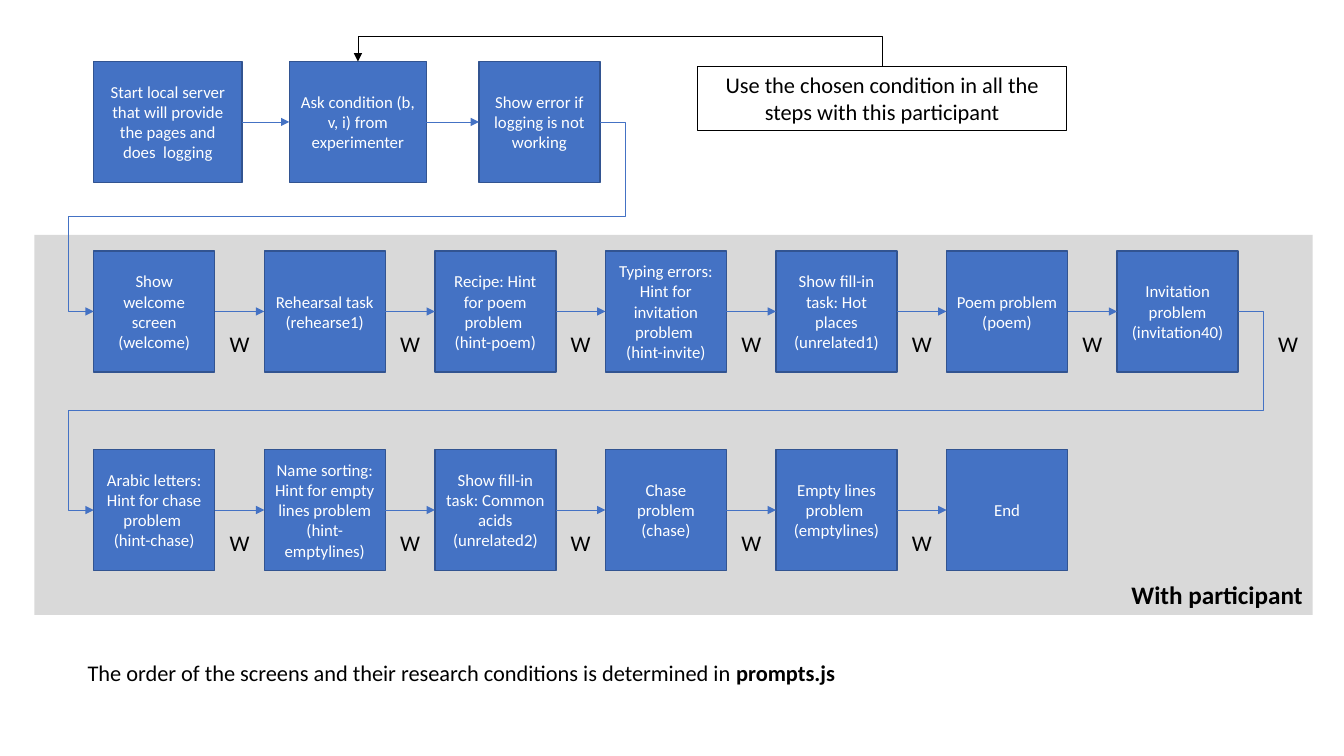
from lxml import etree
from pptx import Presentation
from pptx.dml.color import RGBColor
from pptx.enum.shapes import MSO_CONNECTOR as Link, MSO_SHAPE as Preset
from pptx.enum.text import MSO_ANCHOR as Anchor, MSO_AUTO_SIZE as AutoSize, PP_ALIGN as Align
from pptx.oxml.ns import qn
from pptx.util import Inches, Pt

# Content: "\n" starts a paragraph, "\v" breaks a line
SETUP = [  # text, left, width
    ("Start local server that will provide the pages and does  logging", 0.93, 1.47),
    ("Ask condition (b, v, i) from experimenter", 2.87, 1.36),
    ("Show error if logging is not working", 4.75, 1.2),
]
FIRST_TASKS = [
    "Show welcome screen\n(welcome)",
    "Rehearsal task (rehearse1)",
    "Recipe: Hint for poem problem \v(hint-poem)",
    "Typing errors: Hint for invitation problem \v(hint-invite)",
    "Show fill-in task: Hot places\n(unrelated1)",
    "Poem problem (poem)",
    "Invitation problem\v(invitation40)",
]
LATER_TASKS = [
    "Arabic letters: Hint for chase problem \v(hint-chase)",
    "Name sorting: Hint for empty lines problem\v(hint-emptylines)",
    "Show fill-in task: Common acids\v(unrelated2)",
    "Chase problem\v(chase)",
    "Empty lines problem \v(emptylines)",
    "End",
]
WAIT = "W"
PHASE = "With participant"
CONDITION = "Use the chosen condition in all the steps with this participant"
FOOTNOTE = ("The order of the screens and their research conditions is determined in ",
            "prompts.js")

# Grid, in inches
SETUP_TOP, FIRST_TOP, LATER_TOP = 0.61, 2.49, 4.46
LEFT, LAST_LEFT, BOX = 0.93, 11.08, 1.2
PITCH = (LAST_LEFT - LEFT) / (len(FIRST_TASKS) - 1)
GAP = PITCH - BOX
TURN = 0.25  # how far a row-to-row arrow runs past the boxes
WAIT_DROP = 0.74
RIGHT_SITE, LEFT_SITE = 3, 1

BLUE = RGBColor(0x44, 0x72, 0xC4)
EDGE = RGBColor(0x32, 0x54, 0x91)
GREY = RGBColor(0xD9, 0xD9, 0xD9)
WHITE = RGBColor(0xFF, 0xFF, 0xFF)
BLACK = RGBColor(0, 0, 0)

deck = Presentation()
deck.slide_width, deck.slide_height = Inches(13.33), Inches(7.5)
slide = deck.slides.add_slide(deck.slide_layouts[6])


def style_text(frame, size, color, align, bold=None):
    for paragraph in frame.paragraphs:
        paragraph.alignment = align
        font = paragraph.font
        font.name, font.size, font.bold = "Calibri", Pt(size), bold
        font.color.rgb = color


def add_box(text, left, top, width, height, fill=None, edge=None, edge_width=1,
            size=12, color=WHITE, align=Align.CENTER, anchor=Anchor.MIDDLE, bold=None):
    box = slide.shapes.add_shape(Preset.RECTANGLE, *map(Inches, (left, top, width, height)))
    box.shadow.inherit = False
    if fill is None:
        box.fill.background()
    else:
        box.fill.solid()
        box.fill.fore_color.rgb = fill
    if edge is None:
        box.line.fill.background()
    else:
        box.line.color.rgb, box.line.width = edge, Pt(edge_width)
    box.text_frame.text = text
    box.text_frame.word_wrap = True
    box.text_frame.vertical_anchor = anchor
    style_text(box.text_frame, size, color, align, bold)
    return box


def add_label(left, top, width, texts, align, wrap=True):
    label = slide.shapes.add_textbox(*map(Inches, (left, top, width, 0.37)))
    frame = label.text_frame
    frame.word_wrap, frame.auto_size = wrap, AutoSize.SHAPE_TO_FIT_TEXT
    for text in texts:
        frame.paragraphs[0].add_run().text = text
    style_text(frame, 16, BLACK, align)
    return frame


def add_arrow(kind, ends, color, bends=()):
    arrow = slide.shapes.add_connector(kind, *map(Inches, ends))
    arrow.line.color.rgb, arrow.line.width = color, Pt(0.5)
    etree.SubElement(arrow.line._get_or_add_ln(), qn("a:tailEnd"), type="triangle")
    properties = arrow._element.spPr
    etree.SubElement(properties, qn("a:effectLst"))
    if bends:
        geometry = properties.find(qn("a:prstGeom"))
        geometry.set("prst", f"bentConnector{len(bends) + 2}")
        guides = geometry.find(qn("a:avLst"))
        for number, share in enumerate(bends, 1):
            name = f"adj{number}" if len(bends) > 1 else "adj1"
            etree.SubElement(guides, qn("a:gd"), name=name, fmla=f"val {round(share * 100000)}")
    return arrow


def join(source, target):
    """Arrow from one box to the next, bending back when the next row starts."""
    span = (source.left + source.width - target.left) / Inches(1)
    bends = (-TURN / span, 0.5, 1 + TURN / span) if span > 0 else ()
    middle = [(box.top + box.height // 2) / Inches(1) for box in (source, target)]
    start = (source.left + source.width) / Inches(1)
    ends = (start, middle[0], target.left / Inches(1), middle[1])
    arrow = add_arrow(Link.ELBOW if bends else Link.STRAIGHT, ends, BLUE, bends)
    arrow.begin_connect(source, RIGHT_SITE)
    arrow.end_connect(target, LEFT_SITE)


# Participant phase background
add_box(PHASE, 0.34, 2.33, 12.68, 3.77, fill=GREY, size=18, color=BLACK,
        align=Align.RIGHT, anchor=Anchor.BOTTOM, bold=True)

# Step boxes
steps = [add_box(text, left, SETUP_TOP, width, BOX, BLUE, EDGE) for text, left, width in SETUP]
for tasks, top in ((FIRST_TASKS, FIRST_TOP), (LATER_TASKS, LATER_TOP)):
    for column, task in enumerate(tasks):
        steps.append(add_box(task, LEFT + column * PITCH, top, BOX, BOX, BLUE, EDGE))

# Arrows between steps, and a wait mark after each task but the last
for source, target in zip(steps, steps[1:]):
    join(source, target)
for top, count in ((FIRST_TOP, len(FIRST_TASKS)), (LATER_TOP, len(LATER_TASKS) - 1)):
    for column in range(count):
        past_turn = TURN if column == len(FIRST_TASKS) - 1 else 0
        add_label(LEFT + column * PITCH + BOX + past_turn, top + WAIT_DROP, GAP,
                  [WAIT], Align.CENTER)

# Condition note, with its arrow rising over to the second setup step
note = add_box(CONDITION, 6.92, 0.66, 3.66, 0.64, edge=BLACK, edge_width=0.75,
               size=16, color=BLACK, anchor=Anchor.TOP)
note.text_frame.auto_size = AutoSize.SHAPE_TO_FIT_TEXT
note_x, step_x, note_y, peak = 8.75, 3.55, 0.66, 0.36
rise, run = note_y - SETUP_TOP, note_x - step_x
mid_x, mid_y = (note_x + step_x) / 2, (note_y + SETUP_TOP) / 2
# Laid out upright, then turned a quarter to leave the note upwards
lead = add_arrow(Link.ELBOW, (mid_x - rise / 2, mid_y + run / 2, mid_x + rise / 2, mid_y - run / 2),
                 BLACK, ((note_y - peak) / rise,))
lead._element.spPr.find(qn("a:xfrm")).set("rot", str(270 * 60000))

# Footnote
footnote = add_label(0.77, 6.49, 7.69, FOOTNOTE, Align.LEFT, wrap=False)
footnote.paragraphs[0].runs[-1].font.bold = True

deck.save("out.pptx")
